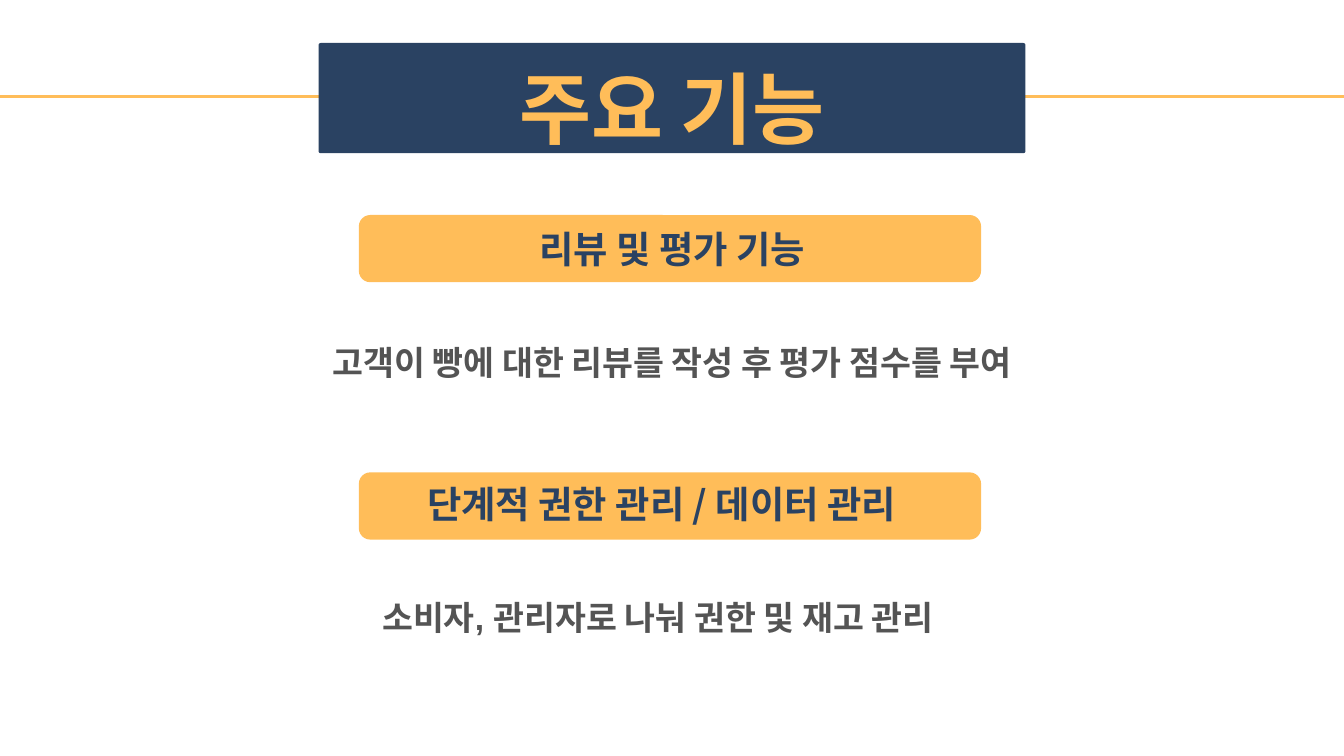
from lxml import etree
from pptx import Presentation
from pptx.dml.color import RGBColor as RGB
from pptx.enum.shapes import MSO_CONNECTOR as LINE, MSO_SHAPE as SHAPE
from pptx.enum.text import PP_ALIGN as ALIGN
from pptx.oxml.ns import qn
from pptx.util import Inches, Pt

COLORS = {"gold": "FFBD59", "navy": "2A4262", "gray": "545454"}
HEAD, BODY = "Noto Sans CJK KR", "Arial"


def add_bar(left, top, width, height, color, corner):
    bar = slide.shapes.add_shape(
        SHAPE.ROUNDED_RECTANGLE,
        Inches(left), Inches(top), Inches(width), Inches(height))
    bar.adjustments[0] = corner
    bar.shadow.inherit = False
    bar.fill.solid()
    bar.fill.fore_color.rgb = RGB.from_string(COLORS[color])
    bar.line.fill.background()


def add_text(text, left, top, width, height, font, size, color, spacing):
    box = slide.shapes.add_textbox(
        Inches(left), Inches(top), Inches(width), Inches(height))
    frame = box.text_frame
    frame.word_wrap = True
    frame.margin_left = frame.margin_right = 0
    frame.margin_top = frame.margin_bottom = 0
    para = frame.paragraphs[0]
    para.text = text
    para.alignment = ALIGN.CENTER
    para.line_spacing = spacing
    para.font.name = font
    para.font.size = Pt(size)
    para.font.bold = True
    para.font.color.rgb = RGB.from_string(COLORS[color])
    # Hangul takes the East Asian typeface
    if font == HEAD:
        props = para._p.pPr.find(qn("a:defRPr"))
        etree.SubElement(props, qn("a:ea")).set("typeface", font)


prs = Presentation()
prs.slide_width, prs.slide_height = Inches(20), Inches(11.25)
slide = prs.slides.add_slide(prs.slide_layouts[6])

# Title plate over a rule across the slide
rule = slide.shapes.add_connector(
    LINE.STRAIGHT, 0, Inches(1.44), prs.slide_width, Inches(1.44))
rule.line.color.rgb = RGB.from_string(COLORS["gold"])
rule.line.width = Pt(3)
etree.SubElement(rule._element.spPr, qn("a:effectLst"))
add_bar(4.74, 0.64, 10.52, 1.64, "navy", 0.02)
add_text("주요 기능", 5.09, 0.66, 9.82, 1.43, HEAD, 83.8, "gold", Pt(117.3))

# Features: bar top, then heading and detail with their left and top
features = [
    (3.2, "리뷰 및 평가 기능", 3.16, 3.41,
     "고객이 빵에 대한 리뷰를 작성 후 평가 점수를 부여", 1.27, 4.79),
    (7.03, "단계적 권한 관리 / 데이터 관리", 3, 7.21,
     "소비자, 관리자로 나눠 권한 및 재고 관리", 1.06, 8.58),
]
for bar_top, head, head_x, head_y, detail, detail_x, detail_y in features:
    add_bar(5.34, bar_top, 9.26, 1, "gold", 0.17)
    add_text(head, head_x, head_y, 13.69, 0.63, HEAD, 40, "navy", Pt(44.6))
    add_text(detail, detail_x, detail_y, 17.46, 0.79, BODY, 36, "gray", 1.5)

prs.save("out.pptx")
